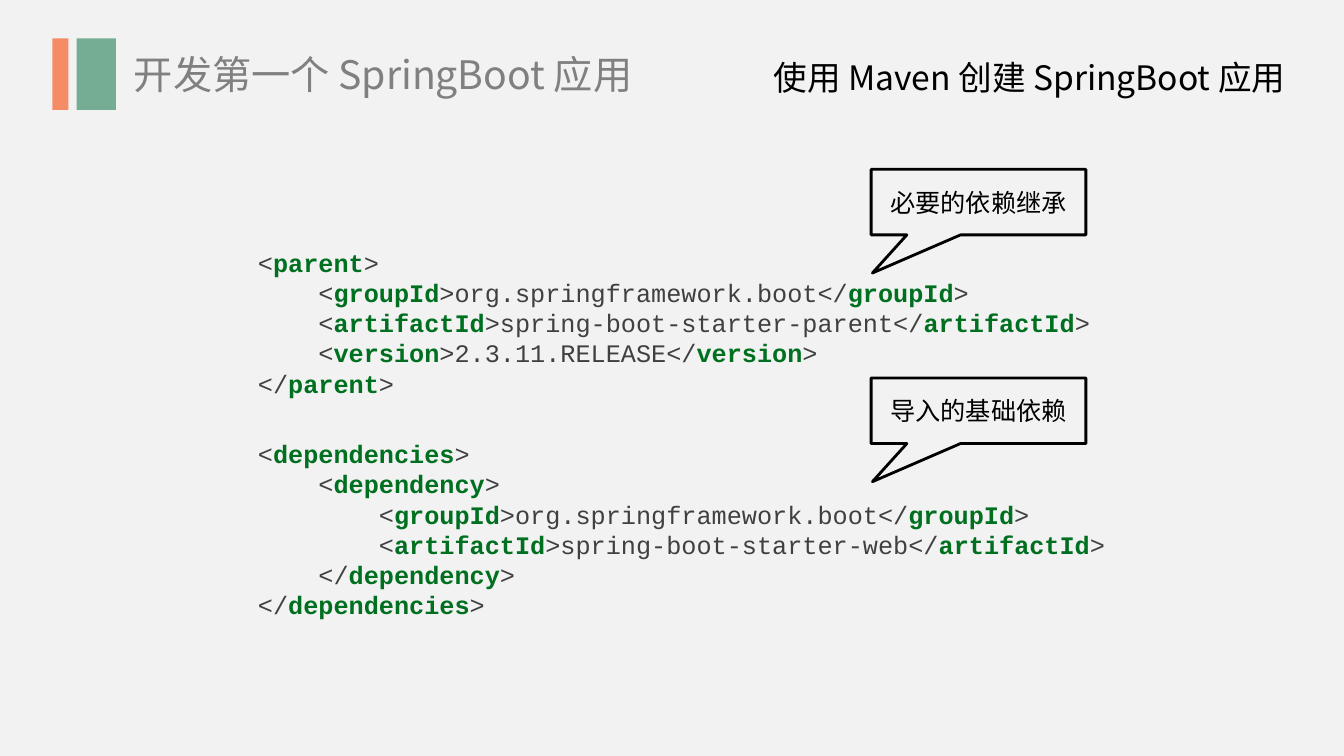
from lxml.etree import SubElement
from pptx import Presentation
from pptx.dml.color import RGBColor
from pptx.enum.shapes import MSO_SHAPE
from pptx.enum.text import MSO_ANCHOR, PP_ALIGN
from pptx.oxml.ns import qn
from pptx.util import Inches, Pt

HEADING_FONT = "Noto Sans CJK SC"
INDENT = 0.6  # four characters of 18 pt Courier New

PARENT_XML = [
    (1, "<parent>"),
    (2, "<groupId>org.springframework.boot</groupId>"),
    (2, "<artifactId>spring-boot-starter-parent</artifactId>"),
    (2, "<version>2.3.11.RELEASE</version>"),
    (1, "</parent>"),
]
DEPENDENCIES_XML = [
    (1, "<dependencies>"),
    (2, "<dependency>"),
    (3, "<groupId>org.springframework.boot</groupId>"),
    (3, "<artifactId>spring-boot-starter-web</artifactId>"),
    (2, "</dependency>"),
    (1, "</dependencies>"),
]


def color(hex_code):
    return RGBColor.from_string(hex_code)


def add_text(paragraph, text, *, font, size, hex_code="000000", bold=False):
    run = paragraph.add_run()
    run.text = text
    run.font.name = font
    run.font.size = Pt(size)
    run.font.bold = bold
    run.font.color.rgb = color(hex_code)
    SubElement(run.font._element, qn("a:ea"), typeface=font)


def add_frame(slide, left, top, width, height):
    box = slide.shapes.add_textbox(
        Inches(left), Inches(top), Inches(width), Inches(height))
    box.text_frame.word_wrap = True
    return box.text_frame


def add_bar(group, left, width, fill):
    bar = group.shapes.add_shape(
        MSO_SHAPE.RECTANGLE, Inches(left), Inches(0.38), Inches(width), Inches(0.71))
    bar.shadow.inherit = False
    bar.fill.solid()
    bar.fill.fore_color.rgb = color(fill)
    bar.line.fill.background()


def add_code(slide, top, height, lines):
    """Draw XML lines, given as (indent level, text), with bold green tag names."""
    frame = add_frame(slide, 1.86, top, 9.72, height)
    plain = dict(font="Courier New", size=18, hex_code="404040")
    tag = dict(plain, hex_code="007020", bold=True)
    for number, (level, line) in enumerate(lines):
        paragraph = frame.add_paragraph() if number else frame.paragraphs[0]
        paragraph._p.get_or_add_pPr().set("marL", str(Inches(INDENT * level)))
        for piece in line.split("<")[1:]:
            name, content = piece.split(">")
            add_text(paragraph, "</" if name.startswith("/") else "<", **plain)
            add_text(paragraph, name.lstrip("/"), **tag)
            add_text(paragraph, ">" + content, **plain)


def add_callout(slide, top, label):
    callout = slide.shapes.add_shape(
        MSO_SHAPE.RECTANGULAR_CALLOUT,
        Inches(8.64), Inches(top), Inches(2.13), Inches(0.65))
    callout.adjustments[0] = -0.494
    callout.adjustments[1] = 1.083
    callout.shadow.inherit = False
    callout.fill.background()
    callout.line.color.rgb = color("000000")
    callout.line.width = Pt(2)
    callout.text_frame.vertical_anchor = MSO_ANCHOR.MIDDLE
    paragraph = callout.text_frame.paragraphs[0]
    paragraph.alignment = PP_ALIGN.CENTER
    add_text(paragraph, label, font="Noto Sans Mono", size=18)


def main():
    deck = Presentation()
    deck.slide_width = Inches(13.33)
    deck.slide_height = Inches(7.5)
    slide = deck.slides.add_slide(deck.slide_layouts[6])
    slide.background.fill.solid()
    slide.background.fill.fore_color.rgb = color("F2F2F2")

    title = add_frame(slide, 1.23, 0.45, 5.3, 0.57).paragraphs[0]
    add_text(title, "开发第一个 SpringBoot 应用",
             font=HEADING_FONT, size=28, hex_code="808080")

    bars = slide.shapes.add_group_shape()
    add_bar(bars, 0.52, 0.16, "F58C65")
    add_bar(bars, 0.76, 0.39, "74AD93")

    subtitle = add_frame(slide, 7.45, 0.32, 5.52, 0.71).paragraphs[0]
    subtitle.alignment = PP_ALIGN.CENTER
    subtitle.line_spacing = 1.5
    add_text(subtitle, "使用 Maven 创建 SpringBoot 应用", font=HEADING_FONT, size=24)

    add_code(slide, 4.3, 1.92, DEPENDENCIES_XML)
    add_code(slide, 2.4, 1.62, PARENT_XML)
    add_callout(slide, 1.68, "必要的依赖继承")
    add_callout(slide, 3.75, "导入的基础依赖")

    deck.save("out.pptx")


if __name__ == "__main__":
    main()
